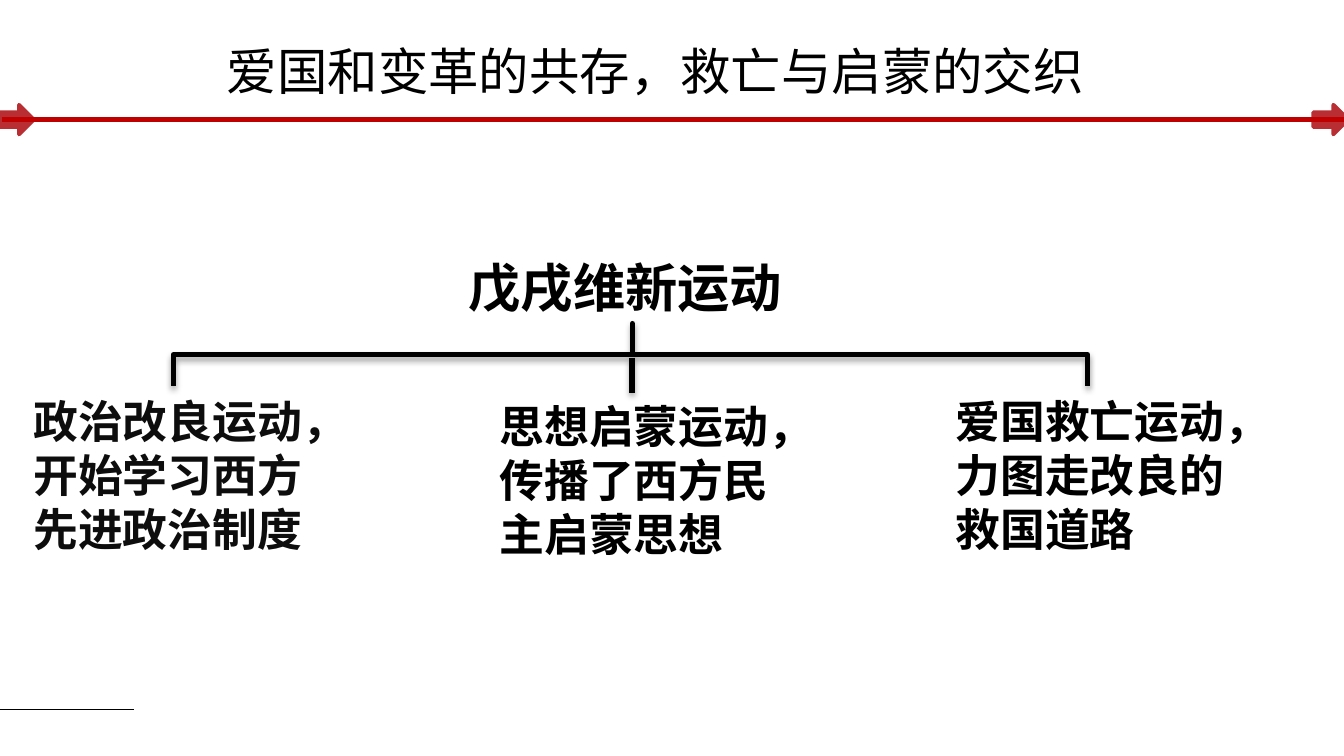
from lxml import etree
from pptx import Presentation
from pptx import util as u
from pptx.dml.color import RGBColor
from pptx.enum import shapes, text
from pptx.oxml import ns

BLACK, INK, RED, ARROW_RED = "000000", "0D0D0D", "C00000", "B92E32"
BRANCHES = [
    (0.38, 7.32, 5.94, INK, ["政治改良运动，", "开始学习西方先进政治制度"]),
    (9.19, 7.42, 5.89, BLACK, ["思想启蒙运动，", "传播了西方民主启蒙思想"]),
    (17.81, 7.32, 5.87, BLACK, ["爱国救亡运动，", "力图走改良的救国道路"]),
]


def color(code):
    """Turn a hex string into a colour."""
    return RGBColor.from_string(code)


def assign(target, values):
    """Set every attribute named in a dict."""
    for name, value in values.items():
        setattr(target, name, value)


def lengths(*values):
    """Turn centimetre numbers into lengths."""
    return [u.Cm(value) for value in values]


def add_child(parent, tag, **attributes):
    """Append a drawing element to a parent element."""
    child = etree.SubElement(parent, ns.qn(tag))
    for name, value in attributes.items():
        child.set(name, str(value))
    return child


def set_line(item, code, width, shadow=False):
    """Style an outline and give it a soft shadow or none."""
    item.line.color.rgb = color(code)
    item.line.width = u.Pt(width)
    effects = add_child(item.element.spPr, "a:effectLst")
    if shadow:
        outer = add_child(effects, "a:outerShdw", blurRad=u.Pt(3.1), dist=u.Pt(1.8),
                          dir=5400000, rotWithShape=0)
        shade = add_child(outer, "a:srgbClr", val=BLACK)
        add_child(shade, "a:alpha", val=35000)


def add_line(page, ends, code, width, shadow=False):
    """Draw a straight line between two points."""
    line = page.shapes.add_connector(shapes.MSO_CONNECTOR.STRAIGHT, *lengths(*ends))
    set_line(line, code, width, shadow)


def add_arrow(page, left):
    """Draw a small red arrow pointing right."""
    arrow = page.shapes.add_shape(shapes.MSO_SHAPE.DOWN_ARROW, *lengths(left, 1.93, 0.56, 0.66))
    arrow.rotation = 270
    arrow.fill.solid()
    arrow.fill.fore_color.rgb = color(ARROW_RED)
    set_line(arrow, ARROW_RED, 2)


def add_brace(page):
    """Draw the square bracket that spans the three branches."""
    brace = page.shapes.add_shape(shapes.MSO_SHAPE.LEFT_BRACE, *lengths(11.33, -1.93, 1.17, 17.27))
    brace.rotation = 90
    brace.adjustments[0] = 0
    brace.adjustments[1] = 0.498
    brace.fill.background()
    set_line(brace, BLACK, 3, shadow=True)


def add_text(page, place, lines, size, code=BLACK, bold=True, face="Noto Sans CJK SC", **margins):
    """Add a wrapping text box with one paragraph per line."""
    frame = page.shapes.add_textbox(*lengths(*place)).text_frame
    assign(frame, {"word_wrap": True, "auto_size": text.MSO_AUTO_SIZE.SHAPE_TO_FIT_TEXT, **margins})
    for index, words in enumerate(lines):
        para = frame.add_paragraph() if index else frame.paragraphs[0]
        span = para.add_run()
        span.text = words
        assign(span.font, {"size": u.Pt(size), "bold": bold, "name": face})
        span.font.color.rgb = color(code)
        add_child(span.font._element, "a:ea", typeface=face)


def main():
    """Build and save the slide."""
    deck = Presentation()
    assign(deck, {"slide_width": u.Cm(25.4), "slide_height": u.Cm(14.29)})
    page = deck.slides.add_slide(deck.slide_layouts[6])
    for left in (0.03, 24.87):
        add_arrow(page, left)
    add_line(page, (0.03, 2.26, 25.43, 2.26), RED, 2.25)
    add_text(page, (8.61, 4.7, 6.65, 1.45), ["戊戌维新运动"], 28)
    add_brace(page)
    for left, top, width, code, lines in BRANCHES:
        add_text(page, (left, top, width, 3.33), lines, 24, code)
    add_line(page, (11.94, 6.76, 11.94, 7.42), BLACK, 3, shadow=True)
    add_text(page, (4.11, 0.66, 17.02, 1.35), ["爱国和变革的共存，救亡与启蒙的交织"], 27,
             bold=False, face="Noto Sans CJK JP", margin_left=u.Cm(0.18), margin_right=u.Cm(0.18),
             margin_top=u.Cm(0.1), margin_bottom=u.Cm(0.1))
    add_line(page, (0, 13.41, 2.54, 13.41), BLACK, 0.75)
    deck.save("out.pptx")


if __name__ == "__main__":
    main()
